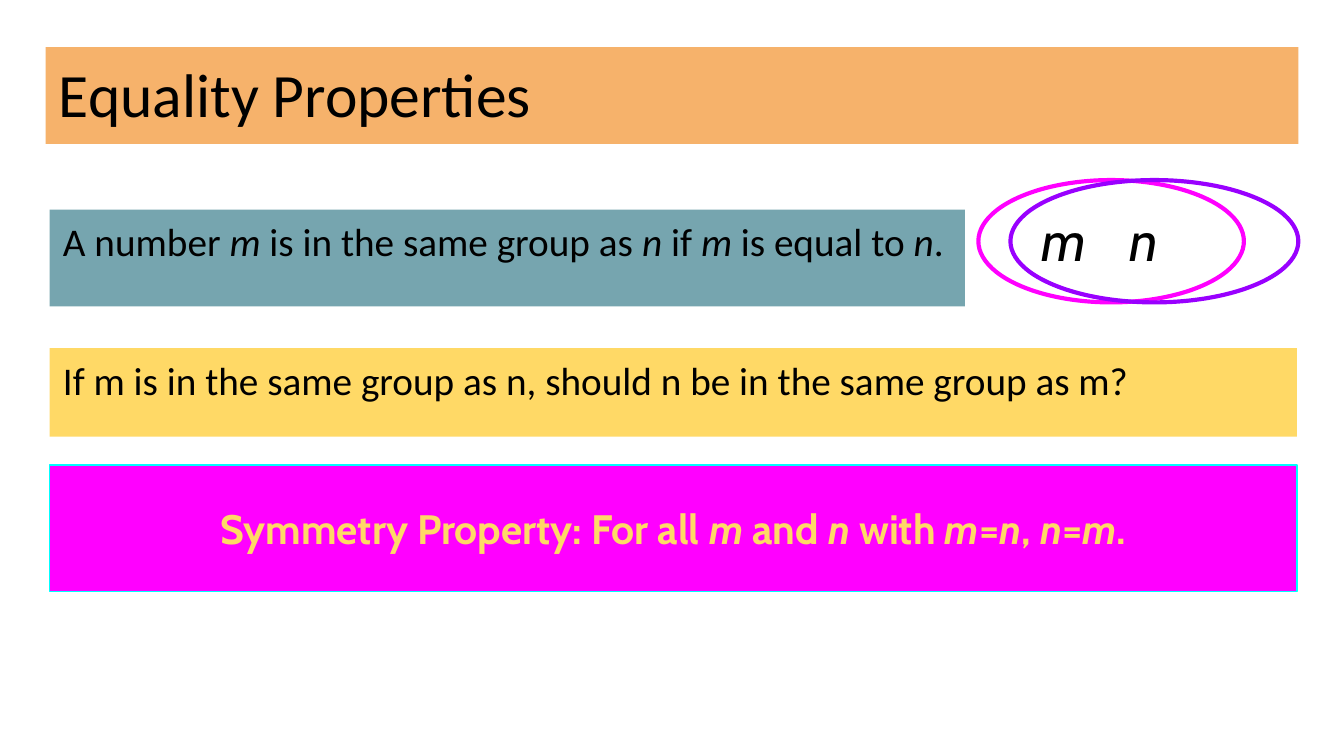
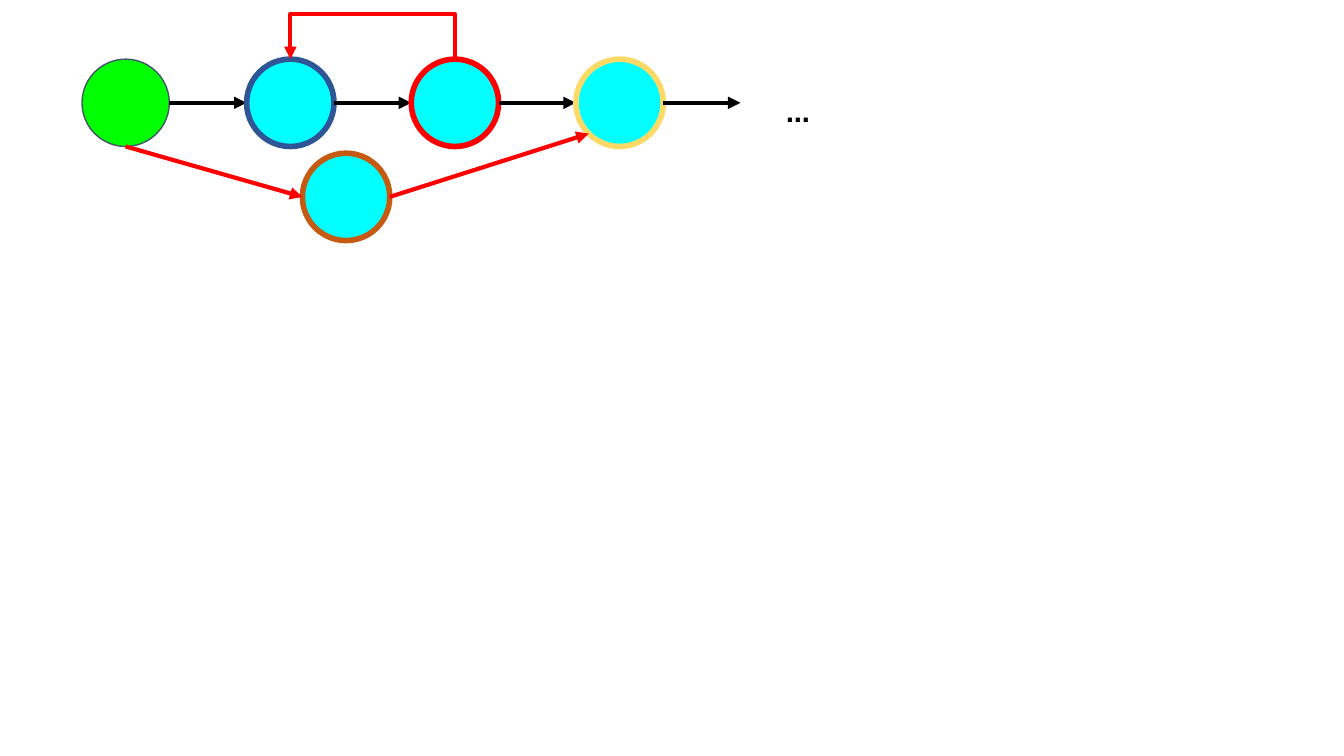
from math import sqrt

from lxml.etree import SubElement
from pptx import Presentation
from pptx.dml.color import RGBColor
from pptx.enum.shapes import MSO_CONNECTOR, MSO_SHAPE
from pptx.enum.text import MSO_ANCHOR, PP_ALIGN
from pptx.oxml.ns import qn
from pptx.util import Emu, Inches, Pt

COLORS = {
    "black": "000000",
    "orange": "F6B26B",
    "teal": "76A5AF",
    "yellow": "FFD966",
    "magenta": "FF00FF",
    "cyan": "00FFFF",
    "violet": "9900FF",
    "green": "00FF00",
    "slate": "44546A",
    "blue": "2F5597",
    "red": "FF0000",
    "rust": "C55A11",
}
SLIDE_WIDTH, SLIDE_HEIGHT = Inches(10), Inches(5.625)
COLUMNS = 100
BODY_FONT, ACCENT_FONT = "Calibri", "Cabin"


def grid(units):
    return Emu(round(units * SLIDE_WIDTH / COLUMNS))


def color(name):
    return RGBColor.from_string(COLORS[name])


def add_figure(slide, preset, box, fill=None, outline=None, weight=0.75):
    figure = slide.shapes.add_shape(preset, *map(grid, box))
    figure.shadow.inherit = False
    if fill:
        figure.fill.solid()
        figure.fill.fore_color.rgb = color(fill)
    else:
        figure.fill.background()
    if outline:
        figure.line.color.rgb = color(outline)
        figure.line.width = Pt(weight)
    else:
        figure.line.fill.background()
    return figure


def write(holder, text, size, font=BODY_FONT, ink="black", bold=False,
          anchor=MSO_ANCHOR.TOP, align=PP_ALIGN.LEFT, spacing=None):
    frame = holder.text_frame
    frame.word_wrap = True
    frame.vertical_anchor = anchor
    frame.margin_left = frame.margin_right = grid(1)
    frame.margin_top = frame.margin_bottom = grid(1)
    paragraph = frame.paragraphs[0]
    paragraph.alignment = align
    if spacing:
        paragraph.line_spacing = spacing
    for index, part in enumerate(text.split("*")):
        if part:
            run = paragraph.add_run()
            run.text = part
            run.font.name = font
            run.font.size = Pt(size)
            run.font.bold = bold
            run.font.italic = index % 2 == 1
            run.font.color.rgb = color(ink)


def add_label(slide, box, text, size, **style):
    label = slide.shapes.add_textbox(*map(grid, box))
    write(label, text, size, font=ACCENT_FONT, **style)


def add_band(slide, box, fill, text, size=21, anchor=MSO_ANCHOR.TOP):
    band = add_figure(slide, MSO_SHAPE.RECTANGLE, box, fill)
    write(band, text, size, anchor=anchor, spacing=0.9)


def add_property(slide, box, text):
    banner = add_figure(slide, MSO_SHAPE.RECTANGLE, box, "magenta", "cyan")
    write(banner, text, 22, ACCENT_FONT, "yellow", True,
          MSO_ANCHOR.MIDDLE, PP_ALIGN.CENTER)


def add_groups(slide, box):
    left, top, width, height = box
    groups = [("m", 0, 0.83, 0.155, "magenta"), ("n", 0.1, 0.9, 0.43, "violet")]
    for letter, start, share, letter_start, outline in groups:
        oval = (left + start * width, top, share * width, height)
        add_figure(slide, MSO_SHAPE.OVAL, oval, outline=outline, weight=2.25)
        place = (left + letter_start * width, top + 0.1 * height,
                 0.22 * width, 0.8 * height)
        add_label(slide, place, f"*{letter}*", 30)


def add_arrow(slide, start, end, ink, route=MSO_CONNECTOR.STRAIGHT):
    arrow = slide.shapes.add_connector(route, *map(grid, (*start, *end)))
    arrow.line.color.rgb = color(ink)
    arrow.line.width = Pt(2.25)
    properties = arrow._element.spPr
    SubElement(properties.find(qn("a:ln")), qn("a:tailEnd"), type="triangle")
    SubElement(properties, qn("a:effectLst"))
    return arrow


def add_loop(slide, start, end, rise):
    span = start[0] - end[0]
    middle = (start[0] + end[0]) / 2
    loop = add_arrow(slide, (middle, start[1] - span / 2),
                     (middle, start[1] + span / 2), "red", MSO_CONNECTOR.ELBOW)
    loop.width = Emu(600)
    properties = loop._element.spPr
    properties.find(qn("a:xfrm")).set("rot", str(90 * 60000))
    guides = properties.find(qn("a:prstGeom")).get_or_add_avLst()
    bend = round(-rise / loop.width * 100000)
    SubElement(guides, qn("a:gd"), name="adj1", fmla=f"val {bend}")


def add_chain(slide, box):
    left, top, width, size = box
    step = width / 4
    radius = size / 2
    middle = top + radius
    states = [("green", "slate", 0.75), ("cyan", "blue", 3),
              ("cyan", "red", 3), ("cyan", "yellow", 3)]
    for index, (fill, outline, weight) in enumerate(states):
        start = left + index * step
        add_figure(slide, MSO_SHAPE.OVAL, (start, top, size, size),
                   fill, outline, weight)
        add_arrow(slide, (start + size, middle), (start + step, middle), "black")
    add_label(slide, (left + width + 2.4, top + 1.2, 5.8, 9.4), "…", 18, bold=True)

    detour_left, detour_top = left + 16.4, top + 7
    detour_middle = detour_top + radius
    add_figure(slide, MSO_SHAPE.OVAL, (detour_left, detour_top, size, size),
               "cyan", "rust", 3)
    add_arrow(slide, (left + radius, top + size),
              (detour_left, detour_middle), "red")
    diagonal = radius / sqrt(2)
    last_center = left + 3 * step + radius
    add_arrow(slide, (detour_left + size, detour_middle),
              (last_center - diagonal, middle + diagonal), "red")
    add_loop(slide, (left + 2 * step + radius, top),
             (left + step + radius, top), grid(2.77))


def build_equality(slide):
    add_band(slide, (3.4, 3.5, 93.2, 7.2), "orange", "Equality Properties",
             33, MSO_ANCHOR.BOTTOM)
    add_band(slide, (3.7, 15.6, 68.1, 7.2), "teal",
             "A number *m* is in the same group as *n* if *m* is equal to *n*.")
    add_band(slide, (3.7, 25.9, 92.8, 6.6), "yellow",
             "If m is in the same group as n, should n be in the same group as m?")
    add_groups(slide, (72.8, 13.4, 23.8, 9.1))
    add_property(slide, (3.7, 34.6, 92.8, 9.4),
                 "Symmetry Property: For all *m* and *n* with *m*=*n*, *n*=*m*.")


def build_sequence(slide):
    add_chain(slide, (6.1, 4.4, 49, 6.5))


def main():
    deck = Presentation()
    deck.slide_width, deck.slide_height = SLIDE_WIDTH, SLIDE_HEIGHT
    for build in (build_equality, build_sequence):
        build(deck.slides.add_slide(deck.slide_layouts[6]))
    deck.save("out.pptx")


if __name__ == "__main__":
    main()
